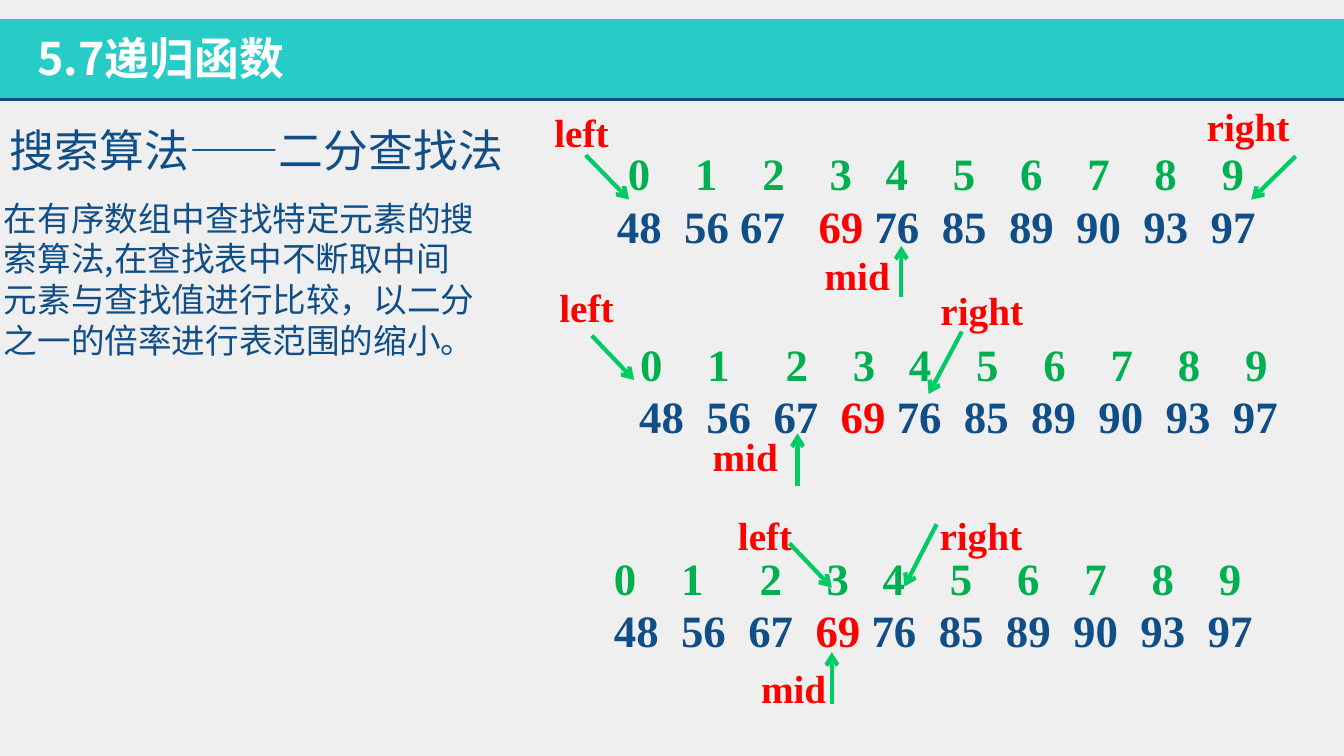
from lxml import etree
from pptx import Presentation
from pptx import util as u
from pptx.dml.color import RGBColor
from pptx.enum import shapes
from pptx.oxml.ns import qn

PX = 9144  # EMU per px, 100 px to the inch
SPACE = u.Pt(8)  # width of one space in the number rows

THEME = {
    "page": "EFEFEF", "band": "26CCC5", "rule": "104D7E", "arrow": "00CC66",
    "cjk": "Noto Sans CJK JP", "latin": "Times New Roman",
    "title": {"size": 32, "color": "FFFFFF", "bold": True},
    "heading": {"size": 32, "color": "104E87", "bold": False},
    "body": {"size": 24, "color": "104E87", "bold": False},
    "label": {"size": 28, "color": "FF0000", "bold": True},
    "index": {"size": 32, "color": "00B050", "bold": True},
    "value": {"size": 32, "color": "104E87", "bold": True},
    "target": {"size": 32, "color": "FF0000", "bold": True},
}

# Content: text, style, line pitch in points, box
PROSE = [
    ("5.7递归函数", "title", 39, (27, 25, 878, 64)),
    ("搜索算法——二分查找法", "heading", 39, (0, 116, 925, 71)),
    ("在有序数组中查找特定元素的搜索算法,在查找表中不断取中间元素与查找值进行比较，"
     "以二分之一的倍率进行表范围的缩小。", "body", 29, (-6, 191, 489, 172)),
]
INDEXES = list(range(10))
VALUES = [48, 56, 67, 69, 76, 85, 89, 90, 93, 97]
TARGET = 69

# Column starts, counted in spaces
EVEN = [0, 6, 12, 18, 23, 29, 35, 41, 47, 53]
TIGHT = [0, 6, 11, 18, 23, 29, 35, 41, 47, 53]
LOOSE = [0, 6, 13, 19, 24, 30, 36, 42, 48, 54]

# Each step: index row, value row, labels (box), arrows (from, to)
STEPS = [
    {"index": (613, 140, EVEN), "value": (602, 192, TIGHT),
     "labels": [("left", 540, 103, 85), ("right", 1187, 97, 103), ("mid", 808, 244, 86)],
     "arrows": [(581, 154, 624, 198), (1285, 155, 1241, 198), (894, 295, 894, 244)]},
    {"index": (625, 329, LOOSE), "value": (624, 381, EVEN),
     "labels": [("left", 545, 276, 84), ("right", 923, 279, 103), ("mid", 697, 424, 86)],
     "arrows": [(587, 333, 629, 377), (954, 329, 921, 391), (791, 482, 791, 430)]},
    {"index": (599, 541, LOOSE), "value": (599, 593, EVEN),
     "labels": [("left", 722, 502, 85), ("right", 922, 502, 103), ("mid", 745, 654, 86)],
     "arrows": [(783, 539, 825, 583), (929, 520, 897, 582), (825, 698, 825, 647)]},
]

presentation = Presentation()
presentation.slide_width, presentation.slide_height = 1333 * PX, 750 * PX
slide = presentation.slides.add_slide(presentation.slide_layouts[6])
slide.background.fill.solid()
slide.background.fill.fore_color.rgb = RGBColor.from_string(THEME["page"])


def add_box(box, wrap=True):
    shape = slide.shapes.add_textbox(*(length * PX for length in box))
    shape.text_frame.word_wrap = wrap
    return shape.text_frame.paragraphs[0]


def add_run(paragraph, words, style, face):
    run = paragraph.add_run()
    run.text = words
    look = THEME[style]
    values = {"name": THEME[face], "size": u.Pt(look["size"]), "bold": look["bold"]}
    for name, value in values.items():
        setattr(run.font, name, value)
    run.font.color.rgb = RGBColor.from_string(look["color"])
    if face == "cjk":
        etree.SubElement(run.font._element, qn("a:ea"), typeface=THEME[face])


def add_line(ends, color, width, arrow=False):
    line = slide.shapes.add_connector(
        shapes.MSO_CONNECTOR.STRAIGHT, *(length * PX for length in ends))
    line.line.color.rgb = RGBColor.from_string(THEME[color])
    line.line.width = u.Pt(width)
    if arrow:
        etree.SubElement(line.line._get_or_add_ln(), qn("a:tailEnd"), type="arrow")
    etree.SubElement(line._element.spPr, qn("a:effectLst"))


def add_numbers(numbers, style, left, top, columns):
    paragraph = add_box((left, top, 671, 64))
    tabs = etree.SubElement(paragraph._p.get_or_add_pPr(), qn("a:tabLst"))
    for column in columns[1:]:
        etree.SubElement(tabs, qn("a:tab"), pos=str(column * SPACE), algn="l")
    for position, number in enumerate(numbers):
        gap = "\t" if position else ""
        add_run(paragraph, f"{gap}{number}", "target" if number == TARGET else style, "latin")


# Title band
band = slide.shapes.add_shape(
    shapes.MSO_SHAPE.RECTANGLE, 0, 19 * PX, 1333 * PX, 80 * PX)
band.shadow.inherit = False
band.fill.solid()
band.fill.fore_color.rgb = RGBColor.from_string(THEME["band"])
band.line.fill.background()
add_line((0, 99, 1333, 99), "rule", 2)

# Title, heading and explanation
for words, style, pitch, box in PROSE:
    paragraph = add_box(box)
    paragraph.line_spacing = u.Pt(pitch)
    add_run(paragraph, words, style, "cjk")

# Search steps
for step in STEPS:
    add_numbers(VALUES, "value", *step["value"])
    add_numbers(INDEXES, "index", *step["index"])
    for words, left, top, width in step["labels"]:
        add_run(add_box((left, top, width, 57), wrap=False), words, "label", "latin")
    for ends in step["arrows"]:
        add_line(ends, "arrow", 3, arrow=True)

presentation.save("out.pptx")
